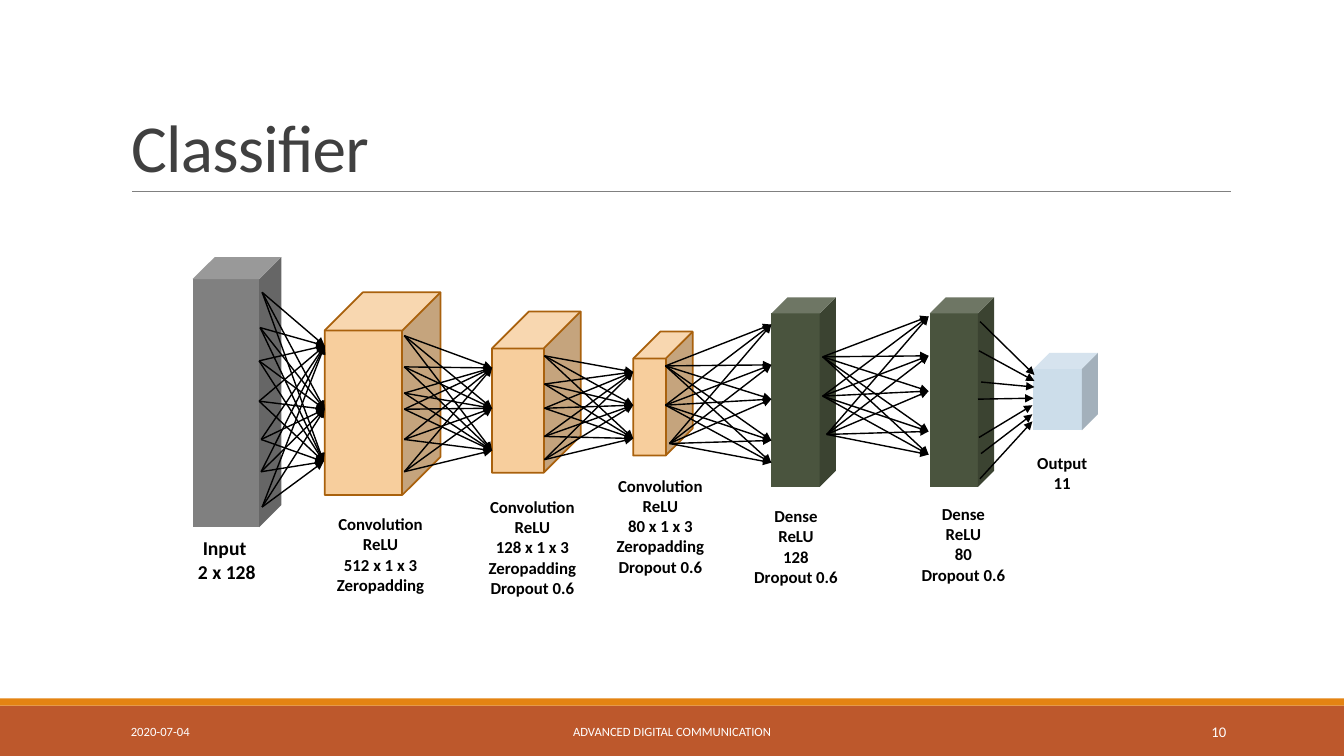
import itertools

import pptx
import pptx.dml.color
import pptx.enum.shapes
import pptx.enum.text
import pptx.oxml.ns
import pptx.util
from lxml import etree

Inches = pptx.util.Inches
Pt = pptx.util.Pt
RGBColor = pptx.dml.color.RGBColor
Shape = pptx.enum.shapes.MSO_SHAPE
Align = pptx.enum.text.PP_ALIGN
Anchor = pptx.enum.text.MSO_ANCHOR
AutoSize = pptx.enum.text.MSO_AUTO_SIZE
qn = pptx.oxml.ns.qn

FONT = "Calibri"
WHITE = RGBColor(0xFF, 0xFF, 0xFF)
BLACK = RGBColor(0, 0, 0)
TITLE_GREY = RGBColor(0x40, 0x40, 0x40)
GREY = RGBColor(0x80, 0x80, 0x80)
RUST = RGBColor(0xBD, 0x58, 0x2C)
ORANGE = RGBColor(0xE4, 0x83, 0x12)
PEACH = RGBColor(0xF7, 0xCE, 0x9D)
BROWN = RGBColor(0xA9, 0x61, 0x0D)
OLIVE = RGBColor(0x4A, 0x54, 0x3E)
PALE_BLUE = RGBColor(0xCC, 0xDD, 0xEA)

deck = pptx.Presentation()
deck.slide_width = Inches(13.33)
deck.slide_height = Inches(7.5)
page = deck.slides.add_slide(deck.slide_layouts[5])


def add_line(start, end, color, width):
    line = page.shapes.add_connector(
        pptx.enum.shapes.MSO_CONNECTOR.STRAIGHT,
        *[Inches(value) for value in (*start, *end)])
    line.line.color.rgb = color
    line.line.width = Pt(width)
    etree.SubElement(line._element.spPr, qn("a:effectLst"))
    return line


def add_text(place, lines, size, color, align, anchor=Anchor.TOP, bold=False, wrap=True):
    box = page.shapes.add_textbox(*[Inches(value) for value in place])
    frame = box.text_frame
    frame.word_wrap = wrap
    frame.vertical_anchor = anchor
    frame.text = "\n".join(lines)
    for para in frame.paragraphs:
        para.alignment = align
        para.font.name = FONT
        para.font.size = Pt(size)
        para.font.bold = bold
        para.font.color.rgb = color


# Footer bands and title rule
for top, height, color in [(7, 0.5, RUST), (6.93, 0.07, ORANGE)]:
    band = page.shapes.add_shape(
        Shape.RECTANGLE, 0, Inches(top), deck.slide_width, Inches(height))
    band.shadow.inherit = False
    band.fill.solid()
    band.fill.fore_color.rgb = color
    band.line.fill.background()
add_line((1.31, 1.9), (12.21, 1.9), GREY, 0.5)

# Title
title = page.shapes.title
title.left, title.top = Inches(1.2), Inches(0.31)
title.width, title.height = Inches(11), Inches(1.59)
title.text_frame.text = "Classifier"
title.text_frame.auto_size = AutoSize.NONE
title.text_frame.vertical_anchor = Anchor.BOTTOM
para = title.text_frame.paragraphs[0]
para.alignment = Align.LEFT
para.line_spacing = 0.85
para.font.name = FONT
para.font.size = Pt(48)
para.font.color.rgb = TITLE_GREY
para.runs[0].font.name = FONT
para.runs[0]._r.get_or_add_rPr().set("spc", "-50")

# Footer texts
for left, width, words, size, align in [
    (1.2, 2.7, "2020-07-04", 9, Align.LEFT),
    (4.03, 5.27, "ADVANCED DIGITAL COMMUNICATION", 9, Align.CENTER),
    (10.83, 1.43, "10", 10.5, Align.RIGHT),
]:
    add_text((left, 7.06, width, 0.4), [words], size, WHITE, align, Anchor.MIDDLE)

# Network layers: place, depth, fill, outline
for place, depth, fill, outline in [
    ((1.91, 2.55, 0.88, 2.68), 0.25, GREY, None),
    ((3.22, 2.9, 1.15, 2.01), 0.33, PEACH, BROWN),
    ((4.88, 3.09, 0.88, 1.6), 0.417, PEACH, BROWN),
    ((6.28, 3.29, 0.59, 1.23), 0.454, PEACH, BROWN),
    ((7.65, 2.95, 0.64, 1.88), 0.25, OLIVE, None),
    ((9.22, 2.95, 0.64, 1.88), 0.25, OLIVE, None),
    ((10.25, 3.5, 0.64, 0.77), 0.25, PALE_BLUE, None),
]:
    layer = page.shapes.add_shape(Shape.CUBE, *[Inches(value) for value in place])
    layer.adjustments[0] = depth
    layer.shadow.inherit = False
    layer.fill.solid()
    layer.fill.fore_color.rgb = fill
    if outline is None:
        layer.line.fill.background()
    else:
        layer.line.color.rgb = outline
        layer.line.width = Pt(1.25)

# Every start point of a stage links to every end point of the next layer
stages = [
    ([(2.6, 2.9), (2.58, 3.25), (2.57, 3.58), (2.57, 3.98),
      (2.59, 4.36), (2.59, 4.68), (2.6, 5.03)],
     [(3.22, 3.43), (3.22, 4.06), (3.21, 4.58)]),
    ([(4.01, y) for y in (3.33, 3.64, 3.9, 4.06, 4.36, 4.68)],
     [(4.88, y) for y in (3.65, 4.05, 4.47)]),
    ([(5.4, y) for y in (3.53, 3.81, 4.05, 4.33, 4.56)],
     [(6.28, y) for y in (3.69, 4.02, 4.35)]),
    ([(6.6, 3.63), (6.6, 4.02), (6.64, 4.4)],
     [(7.65, y) for y in (3.22, 3.62, 3.96, 4.37, 4.59)]),
    ([(8.16, 3.54), (8.16, 3.93), (8.2, 4.31)],
     [(9.21, y) for y in (3.14, 3.53, 3.88, 4.28, 4.51)]),
]
links = [link for starts, ends in stages for link in itertools.product(starts, ends)]

# The last stage links point by point
links += [
    ((9.72, 3.19), (10.26, 3.72)),
    ((9.71, 3.48), (10.26, 3.78)),
    ((9.73, 3.79), (10.26, 3.84)),
    ((9.7, 3.96), (10.25, 3.95)),
    ((9.71, 4.34), (10.24, 4.02)),
    ((9.73, 4.5), (10.24, 4.11)),
    ((9.72, 4.75), (10.24, 4.18)),
]
for start, end in links:
    arrow = add_line(start, end, BLACK, 1)
    etree.SubElement(arrow.line._get_or_add_ln(), qn("a:tailEnd"), type="triangle")

# Layer captions
for place, size, wrap, lines in [
    ((1.81, 5.27, 0.88, 1.33), 14, True, ["Input ", "2 x 128"]),
    ((3.11, 5.05, 1.33, 0.91), 12, True,
     ["Convolution", "ReLU", "512 x 1 x 3", "Zeropadding"]),
    ((4.74, 4.88, 1.08, 1.11), 12, False,
     ["Convolution", "ReLU", "128 x 1 x 3", "Zeropadding", "Dropout 0.6"]),
    ((5.81, 4.67, 1.48, 1.83), 12, False,
     ["Convolution", "ReLU", "80 x 1 x 3", "Zeropadding", "Dropout 0.6"]),
    ((7.18, 4.97, 1.43, 1.5), 12, False, ["Dense", "ReLU", "128", "Dropout 0.6"]),
    ((8.84, 4.95, 1.43, 1.5), 12, False, ["Dense", "ReLU", "80", "Dropout 0.6"]),
    ((10.18, 4.44, 0.71, 0.5), 12, False, ["Output", "11"]),
]:
    add_text(place, lines, size, BLACK, Align.CENTER, bold=True, wrap=wrap)

deck.save("out.pptx")
